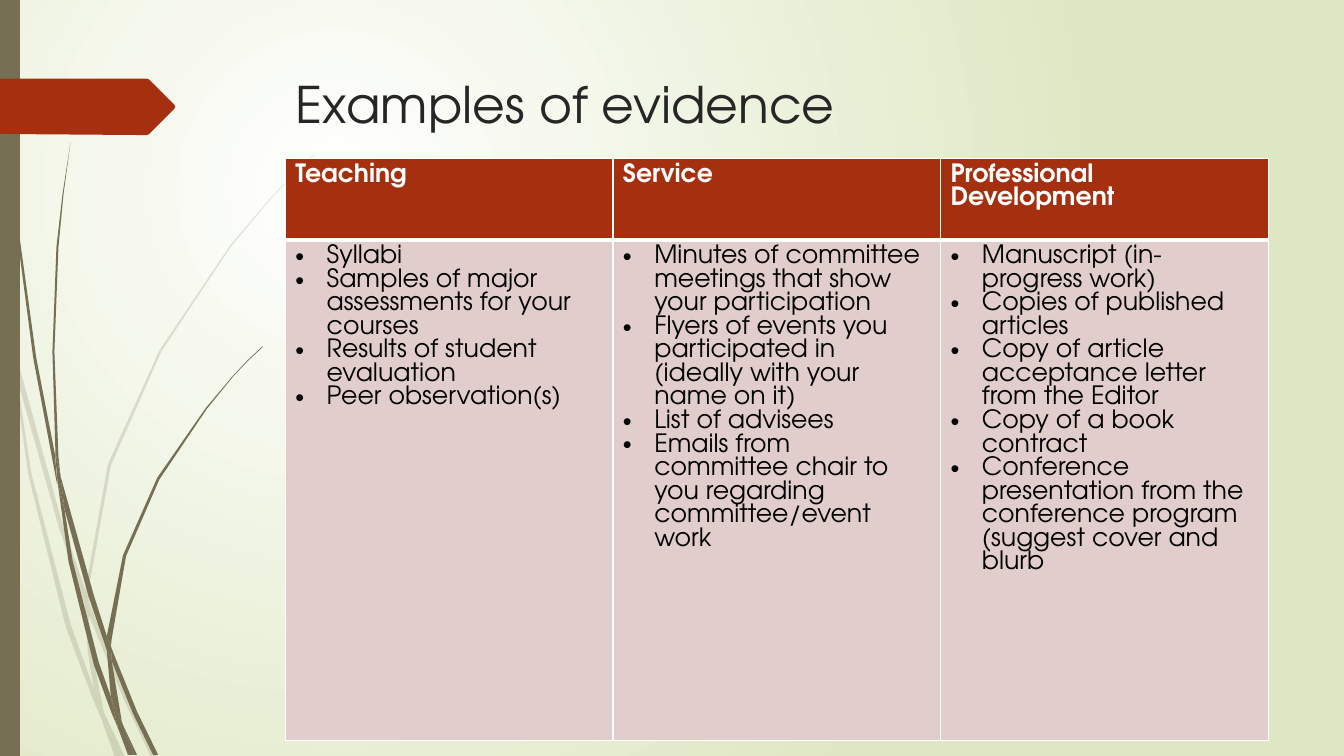
from lxml import etree
from pptx import Presentation
from pptx.dml.color import RGBColor
from pptx.enum.text import MSO_ANCHOR
from pptx.oxml import parse_xml
from pptx.oxml.ns import nsdecls, qn
from pptx.util import Cm, Pt

FONT = "TeX Gyre Adventor"
OLIVE, RUST, ROSE, WHITE, INK, BLACK = "766F54", "A53010", "E1CDCC", "FFFFFF", "262626", "000000"
UNIT = Cm(2.54) / 100  # outline points are hundredths of an inch

PALE_BLADES = [
    [(11, 350), (9, 322), (0, 282), (0, 299), (10, 344)],
    [(58, 522), (84, 599), (85, 586), (62, 520), (14, 345), (17, 376)],
    [(92, 607), (88, 596), (88, 610), (123, 694), (150, 751), (155, 751), (127, 692)],
    [(119, 751), (124, 751), (105, 711)],
    [(93, 683), (70, 619), (31, 469), (17, 376), (11, 350), (28, 470), (65, 621),
     (92, 693), (101, 714), (99, 707)],
    [(84, 599), (87, 646), (93, 683), (96, 692), (105, 711), (103, 706), (91, 646),
     (88, 610), (88, 608)],
    [(88, 584), (110, 462), (160, 349), (229, 245), (268, 198), (290, 175), (312, 154),
     (312, 153), (289, 175), (268, 197), (228, 244), (158, 348), (107, 461), (85, 584),
     (85, 586), (88, 596)],
    [(101, 714), (114, 751), (119, 751)],
    [(88, 608), (88, 610), (88, 596), (85, 586), (84, 599)],
    [(96, 692), (93, 683), (99, 707), (101, 714), (119, 751), (105, 711)],
]
DARK_BLADES = [
    [(7, 110), (17, 233), (33, 355), (56, 477), (57, 481), (55, 457), (55, 453), (36, 355),
     (19, 232), (8, 109), (5, 48), (4, 0), (3, 0), (4, 48)],
    [(88, 592), (106, 645), (106, 633), (106, 631), (93, 590), (60, 472), (64, 505)],
    [(113, 649), (110, 641), (111, 656), (132, 708), (152, 749), (157, 749), (136, 706)],
    [(110, 691), (98, 657), (72, 556), (64, 505), (57, 477), (68, 557), (93, 659),
     (111, 708), (117, 722), (116, 717)],
    [(60, 472), (58, 453), (54, 349), (58, 245), (63, 193), (70, 141), (62, 193), (56, 245),
     (52, 349), (55, 449)],
    [(133, 749), (136, 749), (122, 719)],
    [(57, 477), (64, 505), (60, 472), (55, 449), (55, 453)],
    [(111, 633), (125, 552), (158, 476), (205, 406), (231, 374), (245, 359), (261, 344),
     (260, 344), (245, 358), (231, 373), (204, 405), (156, 474), (122, 551), (106, 631),
     (110, 641)],
    [(117, 722), (127, 749), (131, 749)],
    [(106, 645), (110, 691), (116, 706), (122, 719), (121, 716), (111, 656), (109, 651)],
    [(106, 645), (109, 651), (111, 656), (110, 641), (106, 631), (106, 633)],
    [(116, 706), (110, 691), (116, 717), (117, 722), (130, 749), (133, 749), (122, 719)],
]
SIDE_BAR = [(0, 0), (20, 0), (20, 750), (0, 750)]
ARROW_TAB = [(173, 108), (148, 133), (146, 134), (136, 134), (0, 133), (0, 78), (146, 78),
             (148, 79), (173, 104), (174, 106)]

EVIDENCE = {
    "Teaching": [
        "Syllabi",
        "Samples of major assessments for your courses",
        "Results of student evaluation",
        "Peer observation(s)",
    ],
    "Service": [
        "Minutes of committee meetings that show your participation",
        "Flyers of events you participated in (ideally with your name on it)",
        "List of advisees",
        "Emails from committee chair to you regarding committee/event work",
    ],
    "Professional Development": [
        "Manuscript (in-progress work)",
        "Copies of published articles",
        "Copy of article acceptance letter from the Editor",
        "Copy of a book contract",
        "Conference presentation from the conference program (suggest cover and blurb",
    ],
}


def paint(fill, color, alpha=None):
    """Make a fill solid, with an optional opacity in percent."""
    fill.solid()
    fill.fore_color.rgb = RGBColor.from_string(color)
    if alpha:
        clr = fill._xPr.find(qn("a:solidFill"))[0]
        etree.SubElement(clr, qn("a:alpha")).set("val", str(alpha * 1000))


def set_background(slide):
    """Give the slide a radial glow centred in its upper left quarter."""
    slide.background.fill.gradient()
    bg_pr = slide.background._cSld.bg.bgPr
    glow = parse_xml(
        f'<a:gradFill {nsdecls("a")} rotWithShape="1"><a:gsLst>'
        '<a:gs pos="0"><a:srgbClr val="FFFFFF"/></a:gs>'
        '<a:gs pos="100000"><a:srgbClr val="DFE8C4"/></a:gs></a:gsLst>'
        '<a:path path="circle"><a:fillToRect l="50000" t="50000" r="100000" b="100000"/>'
        '</a:path></a:gradFill>')
    bg_pr.replace(bg_pr.find(qn("a:gradFill")), glow)


def add_outline(shapes, points, color, alpha=None):
    """Draw a closed, filled outline without a border."""
    builder = shapes.build_freeform(*points[0], scale=UNIT)
    builder.add_line_segments(points[1:], close=True)
    sp = builder.convert_to_shape()
    sp.shadow.inherit = False
    paint(sp.fill, color, alpha)
    sp.line.fill.background()


def add_blades(slide, blades, alpha=None):
    """Draw one group of grass blades."""
    group = slide.shapes.add_group_shape()
    for points in blades:
        add_outline(group.shapes, points, OLIVE, alpha)


def format_runs(p, size, color, bold=False):
    """Apply the slide's font to every run of a paragraph."""
    for r in p.runs:
        r.font.name, r.font.size, r.font.bold = FONT, Pt(size), bold
        r.font.color.rgb = RGBColor.from_string(color)


def add_title(slide, text):
    """Add the slide heading."""
    tf = slide.shapes.add_textbox(Cm(7.21), Cm(1.73), Cm(24.77), Cm(3.56)).text_frame
    tf.word_wrap = True
    tf.vertical_anchor = MSO_ANCHOR.TOP
    tf.text = text
    format_runs(tf.paragraphs[0], 36, INK)


def add_bullet(p):
    """Give a paragraph a hanging round bullet."""
    p_pr = p._p.get_or_add_pPr()
    p_pr.set("marL", str(Cm(0.79)))
    p_pr.set("indent", str(-Cm(0.79)))
    etree.SubElement(p_pr, qn("a:buFont")).set("typeface", "Arial")
    etree.SubElement(p_pr, qn("a:buChar")).set("char", "•")


def set_borders(cell, top, bottom):
    """Draw white cell borders; top and bottom widths are in points."""
    widths = {"L": 1, "R": 1, "T": top, "B": bottom}
    for i, (side, width) in enumerate(widths.items()):
        cell._tc.get_or_add_tcPr().insert(i, parse_xml(
            f'<a:ln{side} {nsdecls("a")} w="{Pt(width)}"><a:solidFill>'
            f'<a:srgbClr val="{WHITE}"/></a:solidFill></a:ln{side}>'))


def fill_cell(cell, lines, fill, color, header):
    """Write a header or a bulleted list into a table cell."""
    paint(cell.fill, fill)
    set_borders(cell, *((1, 3) if header else (3, 1)))
    cell.text_frame.text = "\n".join(lines)
    for p in cell.text_frame.paragraphs:
        format_runs(p, 18, color, header)
        if not header:
            add_bullet(p)


def add_evidence_table(slide):
    """Add the table with one column for each kind of work."""
    table = slide.shapes.add_table(
        2, len(EVIDENCE), Cm(7.19), Cm(3.99), Cm(24.77), Cm(14.66)).table
    for row, height in zip(table.rows, (2.06, 12.6)):
        row.height = Cm(height)
    for col, (heading, items) in enumerate(EVIDENCE.items()):
        fill_cell(table.cell(0, col), [heading], RUST, WHITE, True)
        fill_cell(table.cell(1, col), items, ROSE, BLACK, False)


def main():
    """Build the slide and save it."""
    prs = Presentation()
    prs.slide_width, prs.slide_height = Cm(33.87), Cm(19.05)
    s = prs.slides.add_slide(prs.slide_layouts[6])
    set_background(s)
    add_blades(s, PALE_BLADES, alpha=20)
    add_blades(s, DARK_BLADES)
    add_outline(s.shapes, SIDE_BAR, OLIVE)
    add_outline(s.shapes, ARROW_TAB, RUST)
    add_title(s, "Examples of evidence")
    add_evidence_table(s)
    prs.save("out.pptx")


main()
